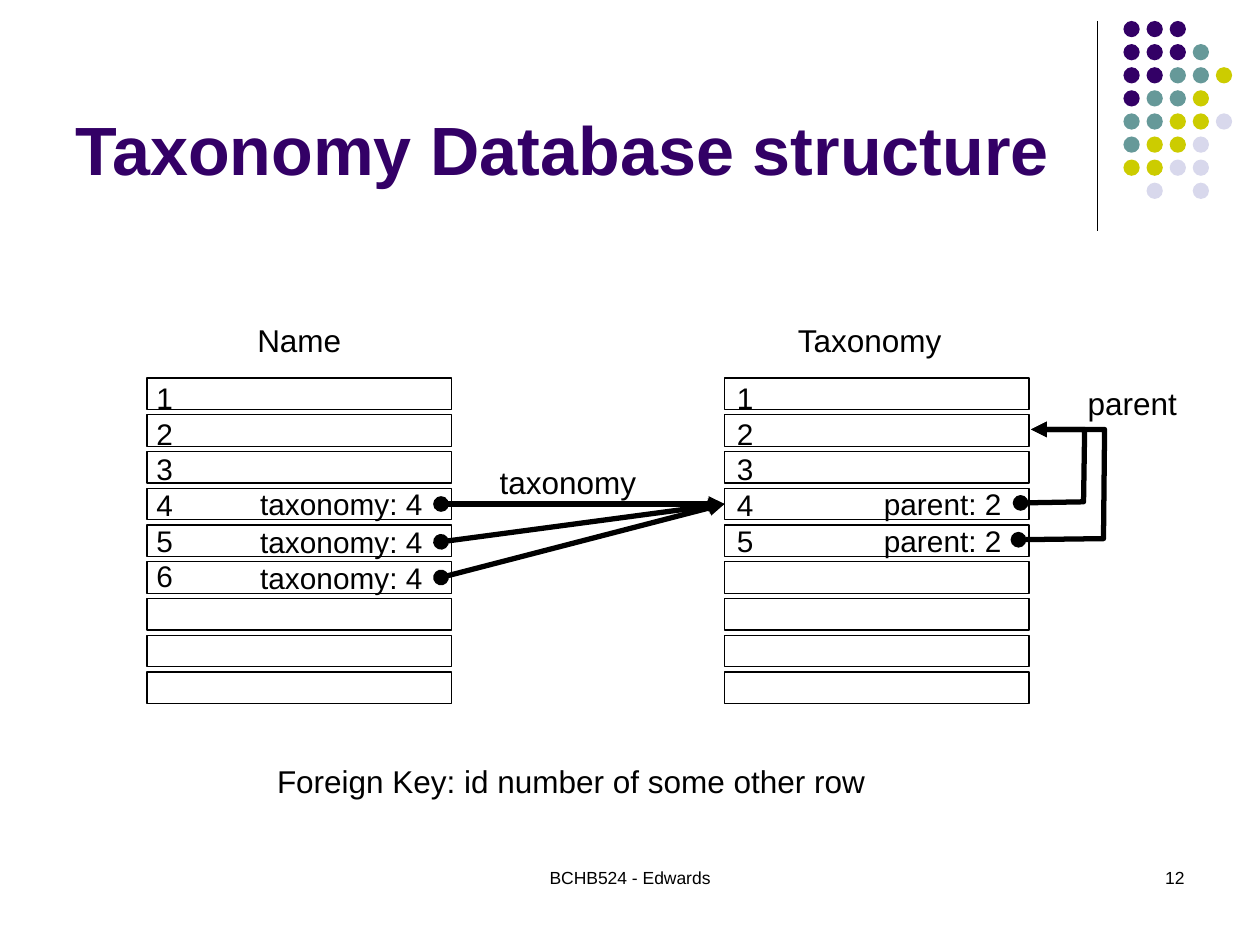
from lxml import etree
from pptx import Presentation
from pptx.dml.color import RGBColor
from pptx.enum.shapes import MSO_CONNECTOR, MSO_SHAPE
from pptx.enum.text import MSO_ANCHOR, MSO_AUTO_SIZE, PP_ALIGN
from pptx.oxml.ns import qn
from pptx.util import Inches, Pt

STRAIGHT = MSO_CONNECTOR.STRAIGHT
RECTANGLE, OVAL = MSO_SHAPE.RECTANGLE, MSO_SHAPE.OVAL
LEFT, CENTER, RIGHT = PP_ALIGN.LEFT, PP_ALIGN.CENTER, PP_ALIGN.RIGHT
BOTTOM = MSO_ANCHOR.BOTTOM
NO_FIT, GROW = MSO_AUTO_SIZE.NONE, MSO_AUTO_SIZE.SHAPE_TO_FIT_TEXT
LEFT_SIDE = 1
COLUMNS, ROWS = 120, 90
BLACK, PURPLE = "000000", "330066"
DOT_COLOURS = {"P": PURPLE, "T": "669999", "Y": "CCCC00", "L": "D8D8EC"}
DOT_ROWS = ["PPP", "PPPT", "PPTTY", "PTTY", "TTYYL", "TYYL", "YYLL", " L L"]
RECORD_COUNT, RECORD_TOP, RECORD_STEP = 9, 36, 3.5


def colour(value):
    return RGBColor.from_string(value)


def apply_format(target, values):
    for name, value in values.items():
        setattr(target, name, value)


class SlideBuilder:
    font_name = "Arial"

    def __init__(self, presentation):
        self.slide = presentation.slides.add_slide(presentation.slide_layouts[5])
        self.shapes = self.slide.shapes
        self.unit_x = presentation.slide_width / COLUMNS
        self.unit_y = presentation.slide_height / ROWS

    def point(self, column, row):
        return round(column * self.unit_x), round(row * self.unit_y)

    def box(self, column, row, width, height):
        return *self.point(column, row), *self.point(width, height)

    def fill_text(self, frame, lines, size, alignment=LEFT, text_colour=BLACK,
                  bold=False, pitch=None):
        frame.text = "\n".join(lines)
        for paragraph in frame.paragraphs:
            apply_format(paragraph, {"alignment": alignment, "line_spacing": pitch})
            apply_format(paragraph.font,
                         {"name": self.font_name, "size": Pt(size), "bold": bold})
            paragraph.font.color.rgb = colour(text_colour)

    def title(self, words, *area):
        shape = self.shapes.title
        apply_format(shape, dict(zip(("left", "top", "width", "height"), self.box(*area))))
        apply_format(shape.text_frame, {"vertical_anchor": BOTTOM, "auto_size": NO_FIT,
                                        "word_wrap": True})
        self.fill_text(shape.text_frame, [words], 39, text_colour=PURPLE, bold=True)

    def text(self, lines, area, size=18, wrap=False, fit=GROW, **style):
        frame = self.shapes.add_textbox(*self.box(*area)).text_frame
        apply_format(frame, {"word_wrap": wrap, "auto_size": fit})
        self.fill_text(frame, lines, size, **style)

    def outline(self, shape, width):
        shape.line.width = Pt(width)
        shape.line.color.rgb = colour(BLACK)

    def dot(self, column, row, size, fill):
        shape = self.shapes.add_shape(OVAL, *self.box(column, row, size, size))
        shape.shadow.inherit = False
        shape.fill.solid()
        shape.fill.fore_color.rgb = colour(fill)
        shape.line.fill.background()

    def record(self, column, row):
        shape = self.shapes.add_shape(RECTANGLE, *self.box(column, row, 29, 3))
        shape.shadow.inherit = False
        shape.fill.background()
        self.outline(shape, 0.75)
        return shape

    def records(self, column):
        return [self.record(column, RECORD_TOP + RECORD_STEP * index)
                for index in range(RECORD_COUNT)]

    def arrow_ends(self, shape):
        line = shape.line._get_or_add_ln()
        for tag, kind in (("a:headEnd", "oval"), ("a:tailEnd", "triangle")):
            etree.SubElement(line, qn(tag), type=kind)

    def line(self, start, end, width):
        connector = self.shapes.add_connector(STRAIGHT, *self.point(*start), *self.point(*end))
        self.outline(connector, width)
        etree.SubElement(connector._element.spPr, qn("a:effectLst"))
        return connector

    def reference(self, start, record):
        connector = self.line(start, start, 3)
        connector.end_connect(record, LEFT_SIDE)
        self.arrow_ends(connector)

    def bent_arrow(self, points):
        start, *others = [self.point(*place) for place in points]
        builder = self.shapes.build_freeform(*start)
        builder.add_line_segments(others, close=False)
        shape = builder.convert_to_shape()
        shape.shadow.inherit = False
        shape.fill.background()
        self.outline(shape, 3)
        self.arrow_ends(shape)


def main():
    presentation = Presentation()
    presentation.slide_width, presentation.slide_height = Inches(10), Inches(7.5)
    builder = SlideBuilder(presentation)

    builder.line((104.5, 2), (104.5, 22), 0.75)
    for row, pattern in enumerate(DOT_ROWS):
        for column, key in enumerate(pattern):
            if key in DOT_COLOURS:
                builder.dot(107 + 2.2 * column, 2 + 2.2 * row, 1.55, DOT_COLOURS[key])

    builder.title("Taxonomy Database structure", 6, 1.6, 99, 17)
    builder.text(["BCHB524 - Edwards"], (41, 82, 38, 6), 10, True, NO_FIT, alignment=CENTER)
    builder.text(["12"], (86, 82, 28, 6), 10, True, NO_FIT, alignment=RIGHT)

    builder.text(["Taxonomy"], (74.8, 30, 17.4, 4.8), wrap=True)
    taxonomy_records = builder.records(69)
    builder.text(["Name"], (19.8, 30, 17.4, 4.8), wrap=True, alignment=CENTER)
    builder.records(14)

    for row in (48, 51.6, 55):
        builder.reference((42, row), taxonomy_records[3])
        builder.text(["taxonomy: 4"], (23.6, row - 2.3, 17.9, 4.7), 17)

    for start, row, bend in ((97.2, 47.9, 103.2), (97, 51.4, 105.1)):
        builder.bent_arrow([(start, row), (bend, row - 0.1), (bend + 0.1, 40.9), (98.2, 40.9)])
        builder.text(["parent: 2"], (83, row - 2.2, 13.6, 4.7), 17)

    for column, count in ((13.7, 6), (69, 5)):
        numbers = [str(number) for number in range(1, count + 1)]
        builder.text(numbers, (column, 35.6, 4, 1.2 + 3.4 * count), 17, pitch=Pt(20.4))

    builder.text(["Foreign Key: id number of some other row"], (25.2, 72, 58.4, 4.8))
    builder.text(["taxonomy"], (46.4, 43.5, 15.4, 4.8))
    builder.text(["parent"], (102.4, 36, 10.9, 4.8))

    presentation.save("out.pptx")


if __name__ == "__main__":
    main()
